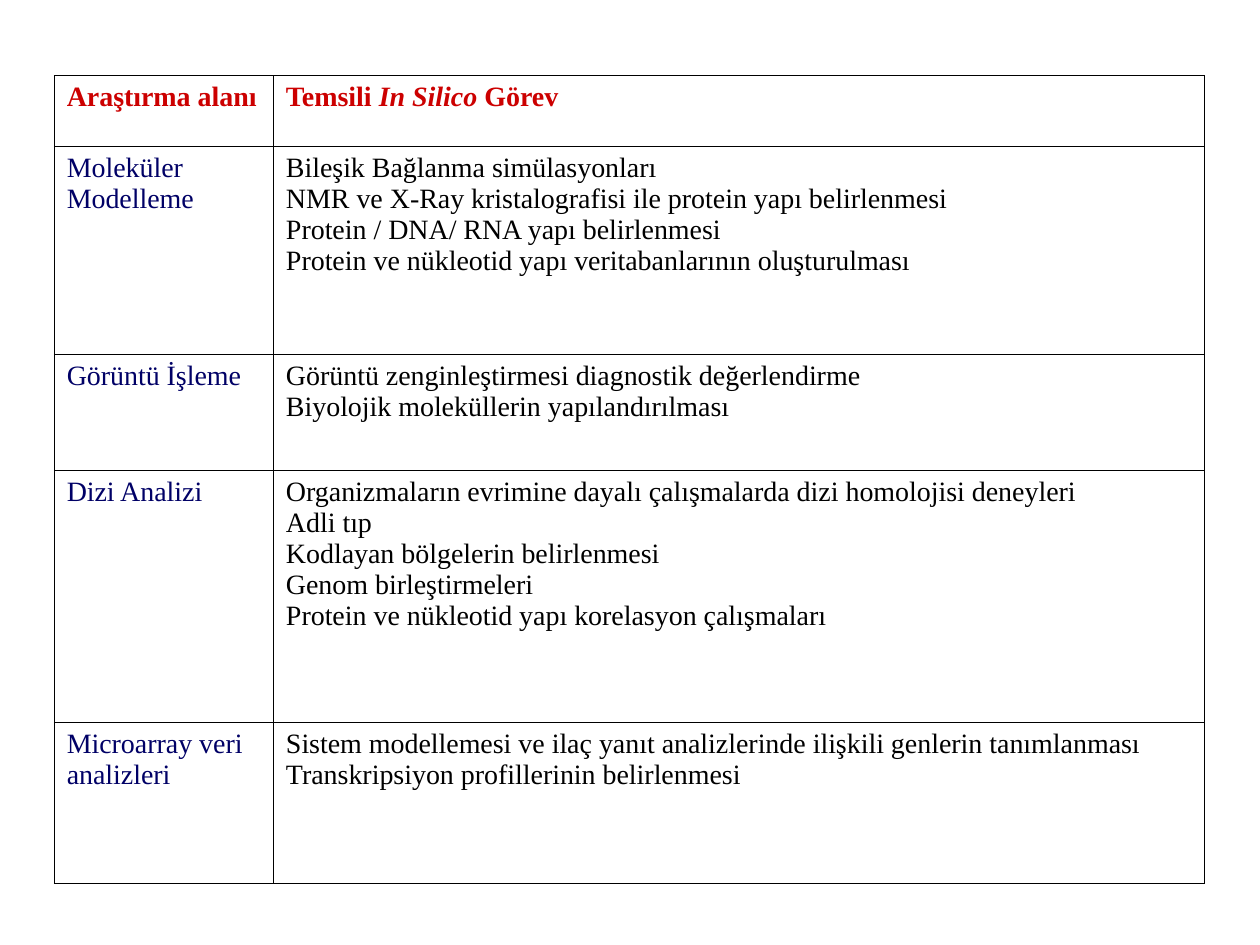
from lxml.etree import SubElement
from pptx import Presentation
from pptx.dml.color import RGBColor
from pptx.enum.text import PP_ALIGN
from pptx.oxml.ns import qn
from pptx.util import Inches, Pt

COLORS = {"heading": "CC0000", "field": "000066", "task": "000000", "border": "000000"}
FONT = "Times New Roman"
COLUMN_WIDTHS = [1.74, 7.39]
ROW_HEIGHTS = [0.56, 1.65, 0.92, 2, 1.28]

# Each row holds the lines of its field and of its tasks.
ROWS = [
    (["Araştırma alanı"], ["Temsili In Silico Görev"]),
    (["Moleküler", "Modelleme"],
     ["Bileşik Bağlanma simülasyonları",
      "NMR ve X-Ray kristalografisi ile protein yapı belirlenmesi",
      "Protein / DNA/ RNA yapı belirlenmesi",
      "Protein ve nükleotid yapı veritabanlarının oluşturulması"]),
    (["Görüntü İşleme"],
     ["Görüntü zenginleştirmesi diagnostik değerlendirme",
      "Biyolojik moleküllerin yapılandırılması"]),
    (["Dizi Analizi"],
     ["Organizmaların evrimine dayalı çalışmalarda dizi homolojisi deneyleri",
      "Adli tıp",
      "Kodlayan bölgelerin belirlenmesi",
      "Genom birleştirmeleri",
      "Protein ve nükleotid yapı korelasyon çalışmaları"]),
    (["Microarray veri", "analizleri"],
     ["Sistem modellemesi ve ilaç yanıt analizlerinde ilişkili genlerin tanımlanması",
      "Transkripsiyon profillerinin belirlenmesi"]),
]
ITALIC_TERM = "In Silico"


def add_borders(cell):
    properties = cell._tc.get_or_add_tcPr()
    for side in ("a:lnL", "a:lnR", "a:lnT", "a:lnB"):
        line = SubElement(properties, qn(side), w=str(Pt(0.45)))
        fill = SubElement(line, qn("a:solidFill"))
        SubElement(fill, qn("a:srgbClr"), val=COLORS["border"])


def write_line(paragraph, line):
    """Write the line, with the Latin term in italics."""
    before, term, after = line.partition(ITALIC_TERM)
    for part in filter(None, (before, term, after)):
        run = paragraph.add_run()
        run.text = part
        if part == ITALIC_TERM:
            run.font.italic = True


prs = Presentation()
prs.slide_width, prs.slide_height = Inches(10), Inches(7.5)
slide = prs.slides.add_slide(prs.slide_layouts[6])

table = slide.shapes.add_table(
    len(ROWS), len(COLUMN_WIDTHS), Inches(0.43), Inches(0.6),
    Inches(sum(COLUMN_WIDTHS)), Inches(sum(ROW_HEIGHTS))).table
table.first_row = table.horz_banding = False
for column, width in zip(table.columns, COLUMN_WIDTHS):
    column.width = Inches(width)
for row, height in zip(table.rows, ROW_HEIGHTS):
    row.height = Inches(height)

for row_index, row_texts in enumerate(ROWS):
    is_heading = row_index == 0
    for column_index, (role, lines) in enumerate(zip(("field", "task"), row_texts)):
        cell = table.cell(row_index, column_index)
        add_borders(cell)
        cell.fill.background()
        for line_index, line in enumerate(lines):
            frame = cell.text_frame
            paragraph = frame.add_paragraph() if line_index else frame.paragraphs[0]
            write_line(paragraph, line)
            paragraph.alignment = PP_ALIGN.JUSTIFY if role == "task" else PP_ALIGN.LEFT
            font = paragraph.font
            font.name, font.size, font.bold = FONT, Pt(16), is_heading
            font.color.rgb = RGBColor.from_string(COLORS["heading" if is_heading else role])

prs.save("out.pptx")
